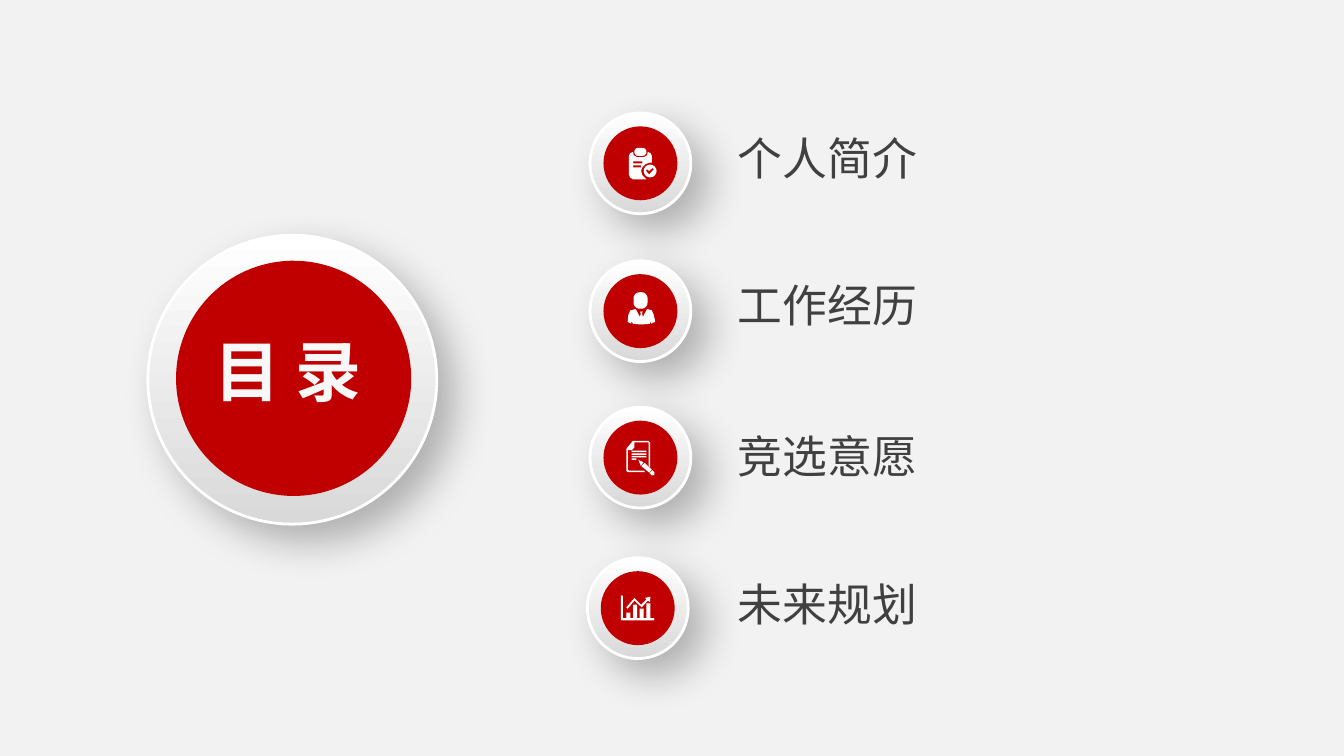
import math
from dataclasses import dataclass

from lxml import etree
from pptx import Presentation
from pptx.dml.color import RGBColor
from pptx.enum.shapes import MSO_SHAPE
from pptx.enum.text import MSO_AUTO_SIZE
from pptx.oxml.ns import qn
from pptx.util import Inches, Pt

OVAL = MSO_SHAPE.OVAL
ROUNDED = MSO_SHAPE.ROUNDED_RECTANGLE
GROW = MSO_AUTO_SIZE.SHAPE_TO_FIT_TEXT


@dataclass(frozen=True)
class Theme:
    font: str = "Noto Sans CJK SC"
    background: str = "F2F2F2"
    red: str = "C00000"
    white: str = "FFFFFF"
    silver: str = "D9D9D9"
    shadow: str = "000000"
    heading: str = "F8F8F8"
    text: str = "404040"
    heading_size: float = 35.3
    text_size: float = 24


THEME = Theme()
SLIDE_WIDTH = 10
SLIDE_HEIGHT = SLIDE_WIDTH * 9 / 16


def rounded(left, top, right, bottom, radius=0):
    if not radius:
        return [(left, top), (right, top), (right, bottom), (left, bottom)]
    corners = (
        (right - radius, bottom - radius, 0),
        (left + radius, bottom - radius, 90),
        (left + radius, top + radius, 180),
        (right - radius, top + radius, 270),
    )
    return [
        (x + radius * math.cos(math.radians(start + step)),
         y + radius * math.sin(math.radians(start + step)))
        for x, y, start in corners
        for step in range(0, 91, 15)
    ]


CLIPBOARD = [
    rounded(4, 0, 13, 6, 3),
    [(0, 6), (0.8, 4), (3, 3), (3.5, 5.5), (6, 7), (11, 7), (13.5, 5.5),
     (14, 3), (16, 4), (17, 6), (17, 11), (15.5, 11), (12.5, 12),
     (10, 14.5), (9, 17), (10, 20.5), (13, 23.5), (3, 23.5), (0.8, 22), (0, 20)],
    rounded(3, 10, 10, 11.5),
    rounded(3, 13, 9, 14.5),
    rounded(11, 12.5, 20.5, 22, 4.75),
    [(12.5, 17), (13.5, 16), (15, 17.2), (17.5, 15), (18.5, 16), (15, 19.8)],
]
PERSON = [
    rounded(4.4, 0.5, 14.8, 12.8, 4.6),
    [(2, 14), (6, 13), (9.2, 19), (9.8, 16), (9.2, 15), (11.3, 15), (10.7, 16),
     (11.3, 19), (14.5, 13), (18, 14), (19.5, 17.5), (20.5, 22.5), (17.5, 23.8),
     (17, 22), (16.5, 24), (10, 24.5), (4, 24), (3, 22), (2.5, 23.8),
     (0, 22.5), (0.5, 17.5)],
]
DOCUMENT = [
    [(0, 6), (5, 0), (16.5, 0), (17.8, 1.5), (17.8, 19.8), (16.7, 18.7),
     (16.7, 1.2), (6, 1.2), (6, 5), (4, 7), (1.2, 7), (1.2, 21.5), (2, 22.2),
     (13, 22.2), (14.3, 23.4), (2, 23.4), (0.5, 23), (0, 22)],
    *[rounded(4, 7.4 + 1.9 * row, right, 8.5 + 1.9 * row)
      for row, right in enumerate((15, 15, 15, 7.5))],
    [(9, 14.2), (12.8, 16), (10.8, 18.6)],
    [(13.6, 16.4), (19, 21.5), (17, 23.6), (11.2, 18.8)],
    [(19.4, 21.9), (21, 23.6), (21, 25.5), (19, 25.8), (17.4, 24)],
]
CHART = [
    [(0, 0.5), (0.7, 0), (1.5, 0.5), (1.5, 17), (24.5, 17), (25, 17.8),
     (24.5, 18.6), (0.5, 18.6), (0, 18)],
    *[rounded(4 + 5 * bar, top, 7 + 5 * bar, 17)
      for bar, top in enumerate((13, 7, 10, 6))],
    [(4, 9), (10, 2), (15, 7), (19, 3), (18, 2), (22, 1), (21.5, 5),
     (20, 4), (15.5, 9), (10, 4), (5, 10)],
]

AGENDA = [
    ("个人简介", 0.92, (4.39, 0.84), CLIPBOARD, (4.68, 1.1)),
    ("工作经历", 2.02, (4.39, 1.94), PERSON, (4.67, 2.17)),
    ("竞选意愿", 3.14, (4.39, 3.03), DOCUMENT, (4.66, 3.28)),
    ("未来规划", 4.24, (4.37, 4.15), CHART, (4.62, 4.43)),
]


def color(value):
    return RGBColor.from_string(value)


def add_text(shapes, text, box, size, text_color, bold=False):
    frame = shapes.add_textbox(*map(Inches, box)).text_frame
    frame.word_wrap = False
    frame.auto_size = GROW
    run = frame.paragraphs[0].add_run()
    run.text = text
    font = run.font
    font.name = THEME.font
    font.size = Pt(size)
    font.bold = bold
    font.color.rgb = color(text_color)
    east_asian = etree.SubElement(run._r.get_or_add_rPr(), qn("a:ea"))
    east_asian.set("typeface", THEME.font)


def add_shadow(shape):
    shape.shadow.inherit = False
    effects = shape._element.spPr.find(qn("a:effectLst"))
    shadow = etree.SubElement(
        effects, qn("a:outerShdw"), blurRad=str(Pt(22)), dist=str(Pt(12)),
        dir=str(45 * 60000), algn="tl", rotWithShape="0")
    shade = etree.SubElement(shadow, qn("a:srgbClr"), val=THEME.shadow)
    etree.SubElement(shade, qn("a:alpha"), val="28000")


def fill_flat(shape, fill_color):
    shape.shadow.inherit = False
    shape.fill.solid()
    shape.fill.fore_color.rgb = color(fill_color)
    shape.line.fill.background()


def add_button(shapes, position, size, disc_offset, disc_size):
    left, top = position
    ring = shapes.add_shape(OVAL, *map(Inches, (left, top, size, size)))
    ring.fill.gradient()
    ring.fill.gradient_angle = 270
    for stop, stop_color in zip(ring.fill.gradient_stops, (THEME.white, THEME.silver)):
        stop.color.rgb = color(stop_color)
    ring.line.color.rgb = color(THEME.white)
    ring.line.width = Pt(1.5)
    add_shadow(ring)
    across, down = disc_offset
    disc = shapes.add_shape(
        ROUNDED, *map(Inches, (left + across, top + down, disc_size, disc_size)))
    disc.adjustments[0] = 0.5
    fill_flat(disc, THEME.red)


def add_icon(shapes, contours, position):
    left, top = position
    builder = None
    for contour in contours:
        points = [(Inches(left + x / 100), Inches(top + y / 100)) for x, y in contour]
        if builder is None:
            builder = shapes.build_freeform(*points[0])
        else:
            builder.move_to(*points[0])
        builder.add_line_segments(points[1:], close=True)
    fill_flat(builder.convert_to_shape(), THEME.white)


def main():
    presentation = Presentation()
    presentation.slide_width = Inches(SLIDE_WIDTH)
    presentation.slide_height = Inches(SLIDE_HEIGHT)
    slide = presentation.slides.add_slide(presentation.slide_layouts[6])
    slide.background.fill.solid()
    slide.background.fill.fore_color.rgb = color(THEME.background)

    for label, label_top, button_position, icon, icon_position in AGENDA:
        add_text(slide.shapes, label, (5.39, label_top, 1.55, 0.5),
                 THEME.text_size, THEME.text)
        button = slide.shapes.add_group_shape().shapes
        add_button(button, button_position, 0.75, (0.1, 0.1), 0.55)
        add_icon(button, icon, icon_position)

    heading = slide.shapes.add_group_shape().shapes
    add_button(heading, (1.1, 1.75), 2.15, (0.21, 0.19), 1.75)
    add_text(heading, "目 录", (1.5, 2.41, 1.44, 0.69),
             THEME.heading_size, THEME.heading, bold=True)
    presentation.save("out.pptx")


if __name__ == "__main__":
    main()
